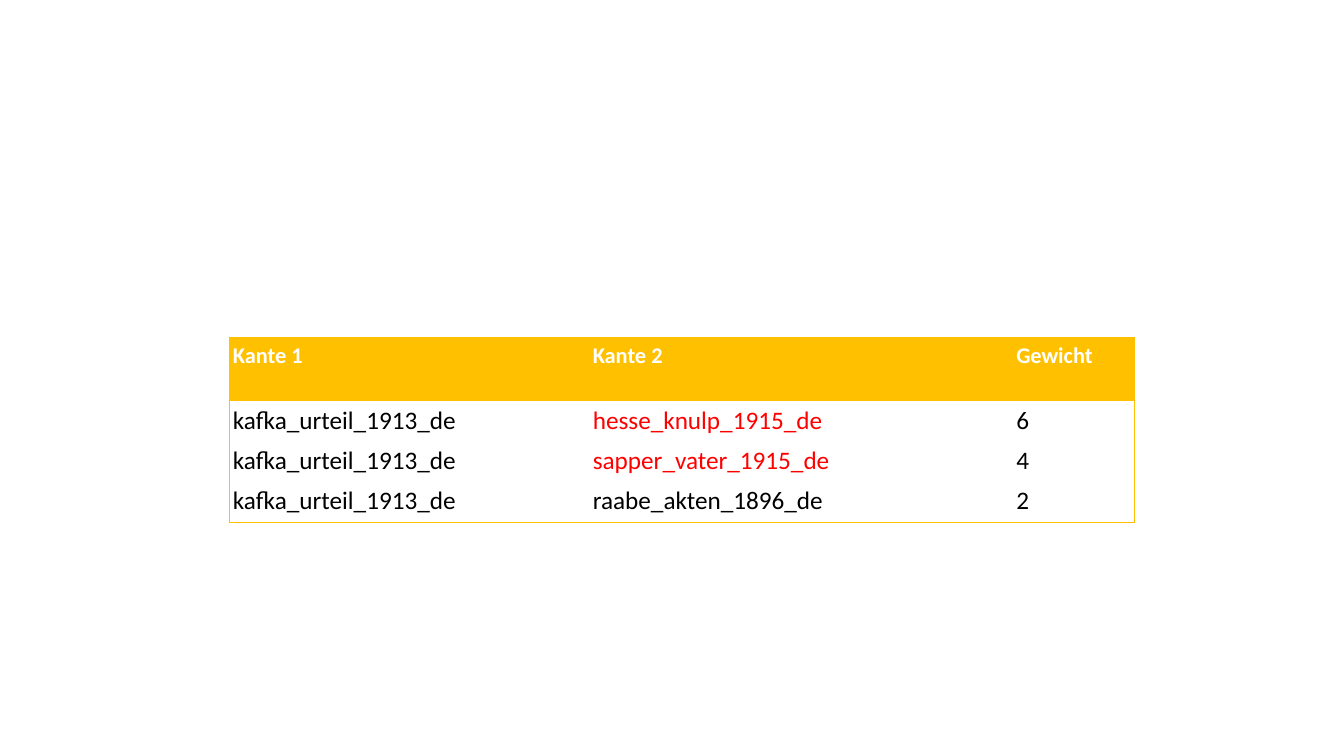
from pptx import Presentation
from pptx.dml.color import RGBColor
from pptx.oxml import parse_xml
from pptx.oxml.ns import nsdecls
from pptx.util import Inches, Pt

GOLD, WHITE, BLACK, RED = "FFC000", "FFFFFF", "000000", "FF0000"
HEAD = ("Kante 1", "Kante 2", "Gewicht")
EDGES = [
    ("kafka_urteil_1913_de", "hesse_knulp_1915_de", "6"),
    ("kafka_urteil_1913_de", "sapper_vater_1915_de", "4"),
    ("kafka_urteil_1913_de", "raabe_akten_1896_de", "2"),
]
MARKED = {"hesse_knulp_1915_de", "sapper_vater_1915_de"}
LEFT, TOP = 2.27, 3.35
WIDTHS = (3.57, 4.2, 1.21)
HEIGHTS = (0.63, 0.4, 0.4, 0.4)
INSET = 0.04


def rgb(color):
    return RGBColor.from_string(color)


def write(cell, text, size=18, color=BLACK, bold=False):
    cell.margin_left = cell.margin_right = Inches(INSET)
    cell.margin_top = cell.margin_bottom = Inches(INSET)
    run = cell.text_frame.paragraphs[0].add_run()
    run.text = text
    font = run.font
    font.name, font.size, font.bold = "Calibri", Pt(size), bold
    font.color.rgb = rgb(color)


def frame(cell, sides):
    """Draw the sides whose flag is true, and clear the others."""
    props = cell._tc.get_or_add_tcPr()
    for i, (side, shown) in enumerate(sides.items()):
        fill = (f'<a:solidFill><a:srgbClr val="{GOLD}"/></a:solidFill>'
                if shown else "<a:noFill/>")
        line = f'<a:ln{side} {nsdecls("a")} w="{Pt(0.5)}">{fill}</a:ln{side}>'
        props.insert(i, parse_xml(line))


def main():
    prs = Presentation()
    prs.slide_width, prs.slide_height = Inches(13.33), Inches(7.5)
    slide = prs.slides.add_slide(prs.slide_layouts[6])
    rows = [HEAD] + EDGES
    table = slide.shapes.add_table(
        len(rows), len(HEAD), Inches(LEFT), Inches(TOP),
        Inches(sum(WIDTHS)), Inches(sum(HEIGHTS))).table
    table.horz_banding = False
    for col, width in zip(table.columns, WIDTHS):
        col.width = Inches(width)
    for row, height in zip(table.rows, HEIGHTS):
        row.height = Inches(height)

    for r, row in enumerate(rows):
        for c, text in enumerate(row):
            cell = table.cell(r, c)
            if r == 0:
                write(cell, text, size=16, color=WHITE, bold=True)
                cell.fill.solid()
                cell.fill.fore_color.rgb = rgb(GOLD)
            else:
                write(cell, text, color=RED if text in MARKED else BLACK)
                cell.fill.background()
            frame(cell, {"L": c == 0, "R": c == len(HEAD) - 1,
                         "T": r == 0, "B": r == len(rows) - 1})
    prs.save("out.pptx")


if __name__ == "__main__":
    main()
